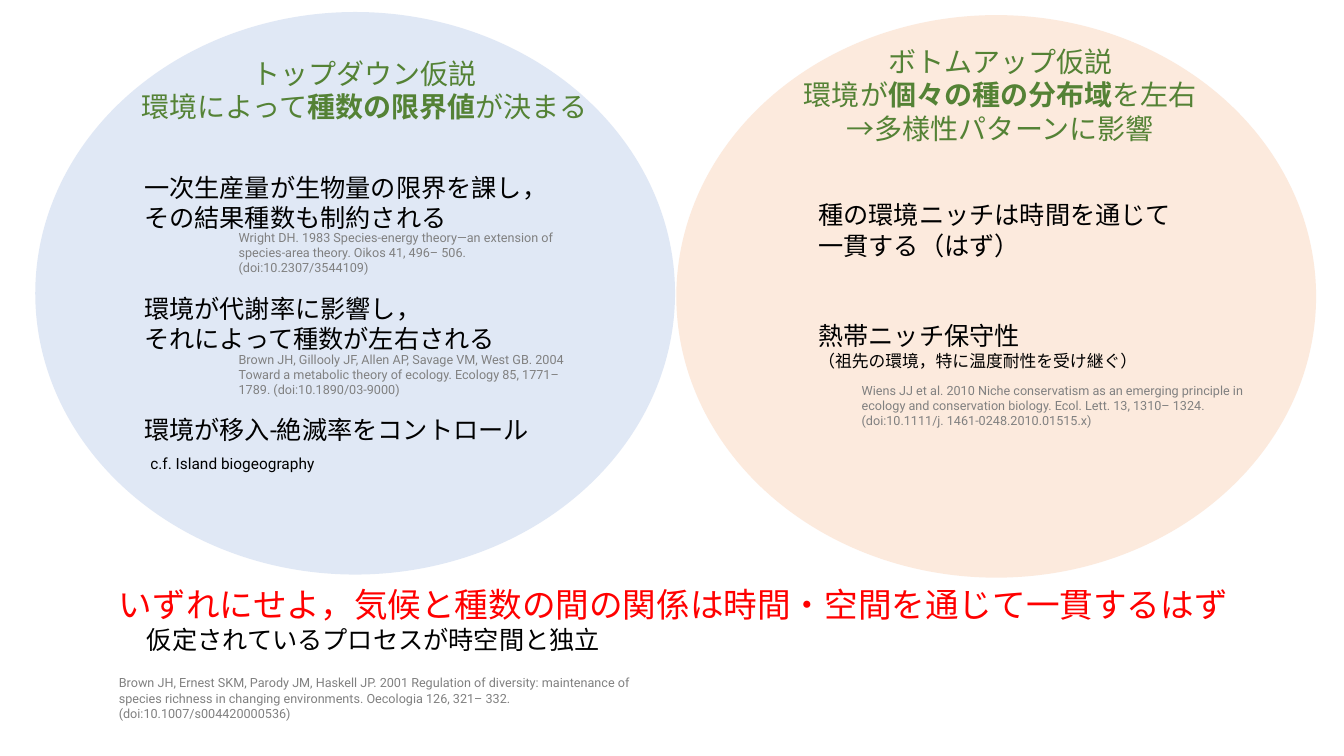
import pptx
import pptx.util
import pptx.dml.color
import pptx.enum.shapes
import pptx.enum.text
import lxml.etree

Pt = pptx.util.Pt
RGB = pptx.dml.color.RGBColor
BLUE = RGB(0x44, 0x72, 0xC4)
ORANGE = RGB(0xED, 0x7D, 0x31)
GREEN = RGB(0x54, 0x82, 0x35)
BLACK = RGB(0, 0, 0)
RED = RGB(0xFF, 0, 0)
GRAY = RGB(0x80, 0x80, 0x80)
LEFT = pptx.enum.text.PP_ALIGN.LEFT
CENTER = pptx.enum.text.PP_ALIGN.CENTER

deck = pptx.Presentation()
deck.slide_width, deck.slide_height = Pt(960), Pt(540)
slide = deck.slides.add_slide(deck.slide_layouts[6])


def write(place, lines, color, align=LEFT):
    """Add a text box; each line is (text, size, space before), *bold* in stars."""
    box = slide.shapes.add_textbox(*[Pt(n) for n in place])
    frame = box.text_frame
    frame.word_wrap = True
    for i, (text, size, gap) in enumerate(lines):
        para = frame.paragraphs[0] if i == 0 else frame.add_paragraph()
        para.alignment = align
        para.space_before = Pt(gap)
        para.font.name = "Roboto"
        para.font.size = Pt(size)
        para.font.color.rgb = color
        for j, part in enumerate(text.split("*")):
            run = para.add_run()
            run.text = part
            if j % 2:
                run.font.bold = True
    return frame


# Two pale ellipses, one per hypothesis
for left, top, color in [(25.2, 8.6, BLUE), (483.1, 10.8, ORANGE)]:
    oval = slide.shapes.add_shape(
        pptx.enum.shapes.MSO_SHAPE.OVAL, Pt(left), Pt(top), Pt(457), Pt(401.8))
    oval.shadow.inherit = False
    oval.fill.solid()
    oval.fill.fore_color.rgb = color
    oval.line.fill.background()
    tint = oval.fill._xPr.find(".//" + pptx.oxml.ns.qn("a:srgbClr"))
    lxml.etree.SubElement(tint, pptx.oxml.ns.qn("a:alpha"), val="16000")

# Headings
write((45.4, 36.7, 429.8, 55.4), [
    ("トップダウン仮説", 20, 0),
    ("環境によって*種数の限界値*が決まる", 20, 0)], GREEN, CENTER)
write((474.5, 28.1, 480.2, 79.9), [
    ("ボトムアップ仮説", 20, 0),
    ("環境が*個々の種の分布域*を左右", 20, 0),
    ("→多様性パターンに影響", 20, 0)], GREEN, CENTER)

# Claims, with room left for the references
GAP = 43.3
claims = write((95.8, 119.5, 308.2, 225.4), [
    ("一次生産量が生物量の限界を課し，その結果種数も制約される", 18, 0),
    ("環境が代謝率に影響し，", 18, GAP),
    ("それによって種数が左右される", 18, 0),
    ("環境が移入-絶滅率をコントロール", 18, GAP),
    ("c.f. Island biogeography", 11, 6.5)], BLACK)
claims.paragraphs[-1]._p.get_or_add_pPr().set("marL", str(Pt(4.5)))
write((577.4, 139, 277.2, 131), [
    ("種の環境ニッチは時間を通じて一貫する（はず）", 18, 0),
    ("熱帯ニッチ保守性", 18, GAP),
    ("（祖先の環境，特に温度耐性を受け継ぐ）", 12, 0)], BLACK)

# Conclusion
write((77.8, 413.3, 822.2, 36), [
    ("いずれにせよ，気候と種数の間の関係は時間・空間を通じて一貫するはず", 24, 0)], RED)
write((97.9, 442.1, 342, 28.8), [
    ("仮定されているプロセスが時空間と独立", 18, 0)], BLACK)

# References
for left, top, width, text in [
    (163.4, 160.6, 269.3,
     "Wright DH. 1983 Species-energy theory—an extension of species-area theory. "
     "Oikos 41, 496– 506. (doi:10.2307/3544109)"),
    (163.4, 247.7, 259.9,
     "Brown JH, Gillooly JF, Allen AP, Savage VM, West GB. 2004 Toward a metabolic "
     "theory of ecology. Ecology 85, 1771– 1789. (doi:10.1890/03-9000)"),
    (608.4, 270, 296.6,
     "Wiens JJ et al. 2010 Niche conservatism as an emerging principle in ecology and "
     "conservation biology. Ecol. Lett. 13, 1310– 1324. "
     "(doi:10.1111/j. 1461-0248.2010.01515.x)"),
    (77.8, 478.8, 398.2,
     "Brown JH, Ernest SKM, Parody JM, Haskell JP. 2001 Regulation of diversity: "
     "maintenance of species richness in changing environments. Oecologia 126, "
     "321– 332. (doi:10.1007/s004420000536)"),
]:
    write((left, top, width, 40.3), [(text, 9, 0)], GRAY)

deck.save("out.pptx")
